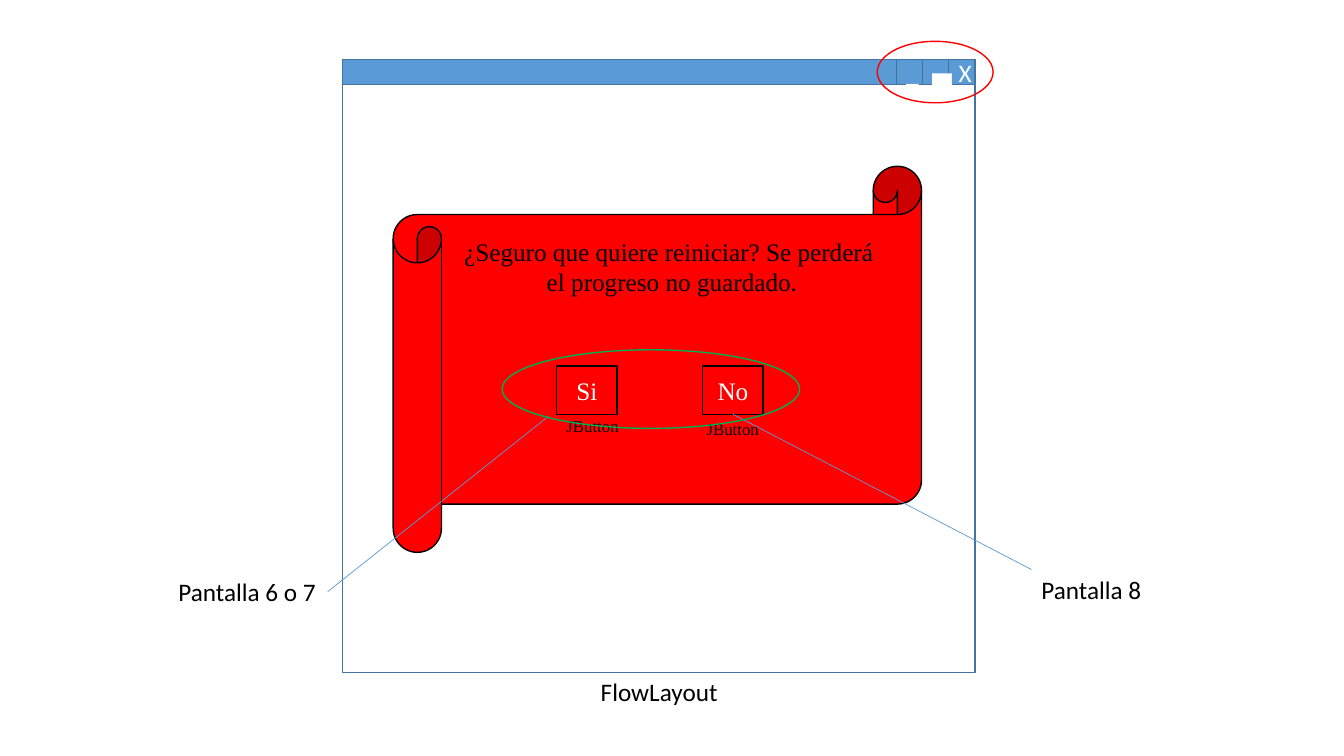
import pptx
import pptx.util
import pptx.dml.color
import pptx.enum.shapes
import pptx.enum.text
import pptx.oxml.ns
from dataclasses import dataclass

COLORS = {
    "white": "FFFFFF",
    "black": "000000",
    "bar": "5B9BD5",
    "frame": "43739E",
    "red": "FF0000",
    "green": "00B050",
}
CELL = pptx.util.Inches(0.1)
SANS, SERIF = "Calibri", "Times New Roman"
SHAPES = pptx.enum.shapes.MSO_SHAPE
CENTER = pptx.enum.text.PP_ALIGN.CENTER
LEFT = pptx.enum.text.PP_ALIGN.LEFT


@dataclass
class Box:
    column: float
    row: float
    columns: float
    rows: float

    def inner(self, column, row, columns, rows):
        return Box(self.column + column, self.row + row, columns, rows)

    def lengths(self):
        return [round(cells * CELL) for cells in (self.column, self.row, self.columns, self.rows)]


def color(name):
    return pptx.dml.color.RGBColor.from_string(COLORS[name])


def write(frame, lines, font, size, ink, align):
    for index, line in enumerate(lines):
        para = frame.add_paragraph() if index else frame.paragraphs[0]
        para.text = line
        para.alignment = align
        para.font.name = font
        para.font.size = pptx.util.Pt(size)
        para.font.color.rgb = color(ink)


def add_figure(slide, kind, box, fill, line, text=None, font=SANS):
    figure = slide.shapes.add_shape(kind, *box.lengths())
    figure.shadow.inherit = False
    if fill:
        figure.fill.solid()
        figure.fill.fore_color.rgb = color(fill)
    else:
        figure.fill.background()
    figure.line.color.rgb = color(line)
    figure.line.width = pptx.util.Pt(1)
    if text:
        figure.text_frame.vertical_anchor = pptx.enum.text.MSO_ANCHOR.MIDDLE
        write(figure.text_frame, [text], font, 18, "white", CENTER)
    return figure


def add_label(slide, box, lines, font=SANS, size=18, align=LEFT):
    frame = slide.shapes.add_textbox(*box.lengths()).text_frame
    frame.word_wrap = False
    frame.auto_size = pptx.enum.text.MSO_AUTO_SIZE.SHAPE_TO_FIT_TEXT
    write(frame, lines, font, size, "black", align)


def add_link(slide, start, end):
    points = [round(cells * CELL) for cells in (*start, *end)]
    link = slide.shapes.add_connector(pptx.enum.shapes.MSO_CONNECTOR.STRAIGHT, *points)
    link.line.color.rgb = color("bar")
    link.line.width = pptx.util.Pt(0.5)
    properties = link._element.spPr
    properties.append(properties.makeelement(pptx.oxml.ns.qn("a:effectLst"), {}))
    return link


def draw_window(slide, box):
    bar_rows, control_columns = 2.5, 2.6
    add_figure(slide, SHAPES.RECTANGLE,
               box.inner(0, bar_rows, box.columns, box.rows - bar_rows), "white", "frame")
    add_figure(slide, SHAPES.RECTANGLE, box.inner(0, 0, box.columns, bar_rows), "bar", "frame")
    for place, symbol in enumerate("X▄_", start=1):
        control = box.inner(box.columns - place * control_columns, 0, control_columns, bar_rows)
        add_figure(slide, SHAPES.RECTANGLE, control, "bar", "frame", symbol)


def draw_dialog(slide, box):
    add_figure(slide, SHAPES.HORIZONTAL_SCROLL, box, "red", "black")
    question = ["¿Seguro que quiere reiniciar? Se perderá ", "el progreso no guardado."]
    add_label(slide, box.inner(5.9, 6.4, 43.5, 7.1), question, SERIF, align=CENTER)
    return [
        add_figure(slide, SHAPES.RECTANGLE, box.inner(16.2 + 14.5 * place, 19.8, 6, 4.8),
                   "red", "black", answer, SERIF)
        for place, answer in enumerate(["Si", "No"])
    ]


def draw_notes(slide, window, dialog, no_button):
    add_link(slide, (72.7, 41.1), (102.3, 56.5)).begin_connect(no_button, 2)
    add_label(slide, window.inner(68.3, 50.6, 12, 4), ["Pantalla 8"])
    add_label(slide, window.inner(-17.3, 50.8, 15.8, 4), ["Pantalla 6 o 7"])
    add_link(slide, (54.4, 41.3), (32.5, 58.7))
    for column, row in [(16.2, 24.3), (30.1, 24.6)]:
        add_label(slide, dialog.inner(column, row, 7.2, 3), ["JButton"], SERIF, 12)
    add_label(slide, window.inner(24.6, 60.7, 13.7, 4), ["FlowLayout"])
    add_figure(slide, SHAPES.OVAL, window.inner(53, -1.8, 11.5, 6.1), None, "red")
    add_figure(slide, SHAPES.OVAL, dialog.inner(10.8, 18.2, 29.5, 7.8), None, "green")


def main():
    deck = pptx.Presentation()
    deck.slide_width = pptx.util.Inches(13.33)
    deck.slide_height = pptx.util.Inches(7.5)
    slide = deck.slides.add_slide(deck.slide_layouts[6])
    window = Box(34, 5.9, 62.7, 60.8)
    dialog = window.inner(5, 10.6, 52.4, 38.3)
    draw_window(slide, window)
    answers = draw_dialog(slide, dialog)
    draw_notes(slide, window, dialog, answers[-1])
    deck.save("out.pptx")


if __name__ == "__main__":
    main()
